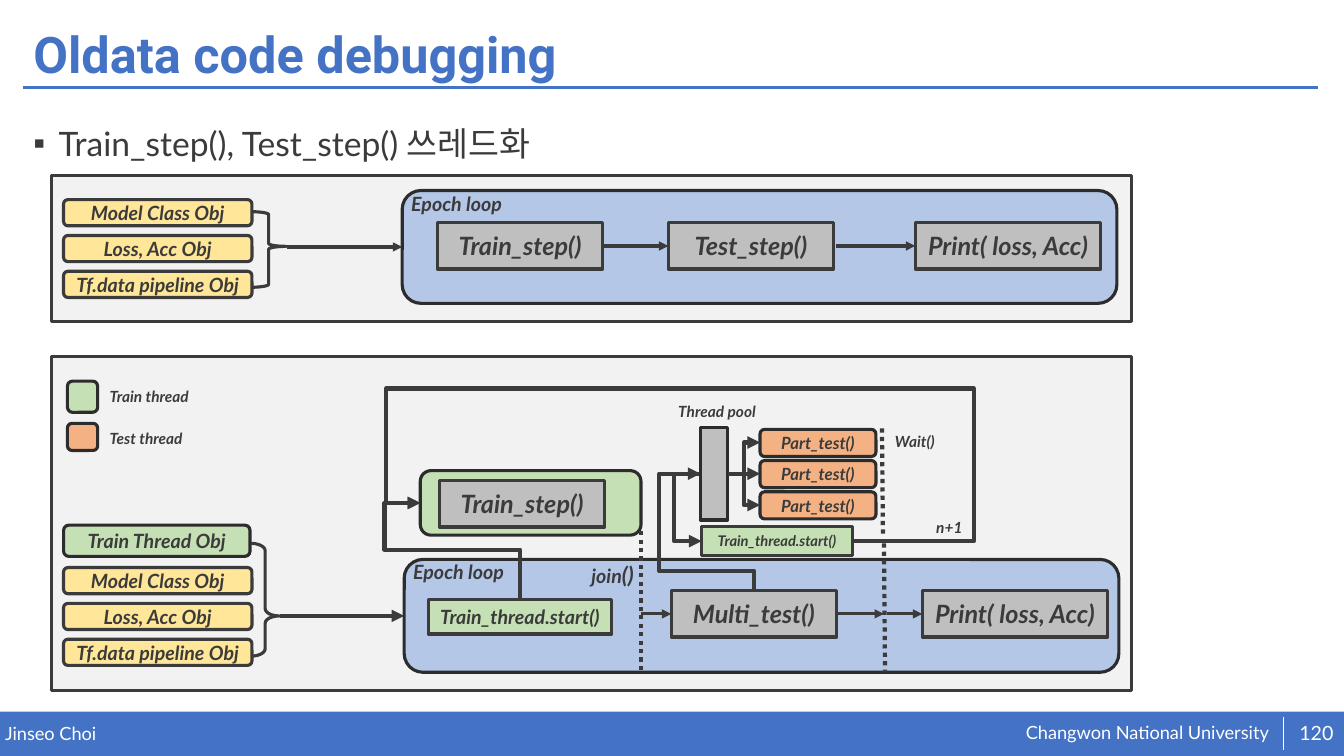
from lxml.etree import SubElement
from pptx import Presentation
from pptx.dml.color import RGBColor
from pptx.enum.dml import MSO_LINE
from pptx.enum.shapes import MSO_CONNECTOR as LINK, MSO_SHAPE as SHAPE
from pptx.enum.text import MSO_ANCHOR as ANCHOR, MSO_AUTO_SIZE as FIT, PP_ALIGN as ALIGN
from pptx.oxml.ns import qn
from pptx.util import Pt

BLUE, WHITE, INK, EDGE = "4472C4", "FFFFFF", "3B3B3B", "2C2C2C"
PANEL, LOOP, STEP = "F2F2F2", "B4C7E7", "BFBFBF"
OBJECT, TRAIN, TEST = "FFE699", "C5E0B4", "F4B183"
OBJECT_NAMES = ("Model Class Obj", "Loss, Acc Obj", "Tf.data pipeline Obj")


def rgb(value):
    return RGBColor.from_string(value)


def write(paragraph, text, size=14, color=INK, font="Lato", bold=True, italic=True):
    run = paragraph.add_run()
    run.text = text
    run.font.size, run.font.name = Pt(size), font
    run.font.bold, run.font.italic = bold, italic
    run.font.color.rgb = rgb(color)


def set_frame(frame, anchor=ANCHOR.TOP, inset=None):
    frame.word_wrap = True
    frame.auto_size = FIT.NONE
    frame.vertical_anchor = anchor
    if inset is not None:
        frame.margin_left = frame.margin_right = Pt(inset)
        frame.margin_top = frame.margin_bottom = Pt(inset)
    return frame.paragraphs[0]


def label(slide, text, x, y, w=200, h=21, align=ALIGN.LEFT, anchor=ANCHOR.TOP,
          inset=None, **text_format):
    box = slide.shapes.add_textbox(Pt(x), Pt(y), Pt(w), Pt(h))
    paragraph = set_frame(box.text_frame, anchor, inset)
    paragraph.alignment = align
    write(paragraph, text, **text_format)
    return paragraph


def block(slide, kind, x, y, w, h, fill=None, line=INK, text="", adjust=(), **text_format):
    shape = slide.shapes.add_shape(kind, Pt(x), Pt(y), Pt(w), Pt(h))
    shape.shadow.inherit = False
    for index, value in enumerate(adjust):
        shape.adjustments[index] = value
    if fill:
        shape.fill.solid()
        shape.fill.fore_color.rgb = rgb(fill)
    else:
        shape.fill.background()
    if line:
        shape.line.color.rgb = rgb(line)
        shape.line.width = Pt(2.25)
    else:
        shape.line.fill.background()
    if text:
        paragraph = set_frame(shape.text_frame, ANCHOR.MIDDLE)
        paragraph.alignment = ALIGN.CENTER
        write(paragraph, text, **text_format)


def link(slide, start, end, width=2.25, color=INK, arrow=True, dotted=False, kind=LINK.STRAIGHT):
    connector = slide.shapes.add_connector(kind, *(Pt(v) for v in (*start, *end)))
    connector.line.color.rgb = rgb(color)
    connector.line.width = Pt(width)
    if dotted:
        connector.line.dash_style = MSO_LINE.ROUND_DOT
    properties = connector._element.spPr
    if arrow:
        SubElement(properties.find(qn("a:ln")), qn("a:tailEnd"), type="triangle")
    SubElement(properties, qn("a:effectLst"))
    return connector


def elbow(slide, start, end, bends=(0.5,), upward=False):
    """Bent arrow; upward means that it leaves its start vertically."""
    if upward:
        # The unturned frame swaps width and height around the same centre
        cx, cy = (start[0] + end[0]) / 2, (start[1] + end[1]) / 2
        half_w, half_h = (start[1] - end[1]) / 2, (start[0] - end[0]) / 2
        start, end = (cx - half_w, cy + half_h), (cx + half_w, cy - half_h)
    connector = link(slide, start, end, 3, kind=LINK.ELBOW)
    properties = connector._element.spPr
    if upward:
        properties.find(qn("a:xfrm")).set("rot", str(270 * 60000))
    geometry = properties.find(qn("a:prstGeom"))
    geometry.set("prst", f"bentConnector{len(bends) + 2}")
    guides = geometry.find(qn("a:avLst"))
    if guides is None:
        guides = SubElement(geometry, qn("a:avLst"))
    for number, bend in enumerate(bends, 1):
        SubElement(guides, qn("a:gd"), name=f"adj{number}", fmla=f"val {round(bend * 100000)}")


def step(slide, text, x, y, w=118.1):
    block(slide, SHAPE.RECTANGLE, x, y, w, 33.1, STEP, text=text, size=18)


def object_list(slide, top):
    for row, name in enumerate(OBJECT_NAMES):
        block(slide, SHAPE.ROUNDED_RECTANGLE, 45.4, top + row * 25.6, 134.6, 18.7,
              OBJECT, text=name)


def epoch_loop(slide, x, y):
    block(slide, SHAPE.ROUNDED_RECTANGLE, x, y, 510.5, 80.6, LOOP, EDGE)
    label(slide, "Epoch loop", x - 0.7, y - 2.9, 142)


def place(placeholder, x, y, w, h):
    placeholder.left, placeholder.top = Pt(x), Pt(y)
    placeholder.width, placeholder.height = Pt(w), Pt(h)


def heading(slide):
    title, body = slide.shapes.title, slide.placeholders[1]
    place(title, 16.6, 13, 925.9, 55.4)
    paragraph = set_frame(title.text_frame, ANCHOR.MIDDLE)
    paragraph.alignment, paragraph.line_spacing = ALIGN.LEFT, 0.9
    write(paragraph, "Oldata code debugging", size=36, color=BLUE, font="Roboto", italic=False)
    place(body, 16.6, 72.7, 925.9, 405.4)
    paragraph = set_frame(body.text_frame)
    paragraph.line_spacing, paragraph.space_before = 1.4, Pt(0)
    bullet = paragraph._p.get_or_add_pPr()
    bullet.set("marL", str(Pt(18)))
    bullet.set("indent", str(-Pt(18)))
    SubElement(bullet, qn("a:buChar"), char="▪")
    write(paragraph, "Train_step(), Test_step() 쓰레드화", size=24, bold=False, italic=False)
    link(slide, (16.6, 62.6), (941.8, 62.6), 2, BLUE, arrow=False)


def footer(slide):
    plain = dict(color=WHITE, bold=False, italic=False, inset=0)
    block(slide, SHAPE.RECTANGLE, 0, 508.3, 960, 31.7, BLUE, line=None)
    label(slide, "Jinseo Choi", 3.6, 516.2, 471.6, 16, size=13, **plain)
    label(slide, " Changwon National University", 729.4, 515.5, 195.1, 16.6, size=13, **plain)
    link(slide, (916.6, 511.9), (916.6, 535.7), 0.5, WHITE, arrow=False)
    label(slide, "120", 923, 509, 34.6, 28.8, ALIGN.CENTER, ANCHOR.MIDDLE, size=14, **plain)


def sequential_flow(slide):
    block(slide, SHAPE.RECTANGLE, 36.7, 125.3, 771.8, 104.4, PANEL)
    epoch_loop(slide, 287.3, 136.1)
    object_list(slide, 142.6)
    block(slide, SHAPE.RIGHT_BRACE, 179.3, 151.2, 25.2, 54, adjust=(0.083, 0.459))
    step(slide, "Train_step()", 312.5, 159.1)
    step(slide, "Test_step()", 477.4, 159.1)
    step(slide, "Print( loss, Acc)", 653.8, 159.1, 132.5)
    link(slide, (205.2, 176.4), (287.3, 176.4))
    for left, right in ((430.6, 477.4), (596.9, 653.8)):
        link(slide, (left, 175.7), (right, 175.7))


def threaded_flow(slide):
    block(slide, SHAPE.RECTANGLE, 36.7, 254.9, 771.8, 238.3, PANEL)
    elbow(slide, (500.4, 338.4), (501.1, 386.6), (-26.4,))

    # Legend
    for text, color, y, h in (("Train thread", TRAIN, 272.2, 22.3),
                              ("Test thread", TEST, 302.4, 19.4)):
        block(slide, SHAPE.ROUNDED_RECTANGLE, 48.2, y, 21.6, h, color, EDGE)
        label(slide, text, 71.3, y + 0.4, size=11)

    # Objects feeding the loop
    block(slide, SHAPE.ROUNDED_RECTANGLE, 45.4, 375.1, 133.2, 22.3, TRAIN, EDGE,
          "Train Thread Obj")
    object_list(slide, 405.4)
    block(slide, SHAPE.RIGHT_BRACE, 179.3, 388.1, 20.2, 80.6, adjust=(0.258, 0.644))

    # Epoch loop
    epoch_loop(slide, 288.7, 399.6)
    link(slide, (200.2, 439.9), (288.7, 439.9), 3)
    step(slide, "Multi_test()", 479.5, 421.9)
    step(slide, "Print( loss, Acc)", 658.8, 421.9, 132.5)
    for left, right in ((457.9, 479.5), (597.6, 631.4), (633.6, 658.8)):
        link(slide, (left, 438.5), (right, 438.5))

    # Train thread
    block(slide, SHAPE.ROUNDED_RECTANGLE, 300.2, 336.2, 157.7, 46.1, TRAIN, EDGE)
    step(slide, "Train_step()", 313.9, 343.4)
    block(slide, SHAPE.RECTANGLE, 306, 428.4, 131, 24.5, TRAIN, text="Train_thread.start()")
    elbow(slide, (371.5, 428.4), (300.2, 359.3), (0.517, 1.358), upward=True)
    write(label(slide, "join", 415.4, 397.4, h=26.6), "()", size=16)

    # Thread pool and test threads
    elbow(slide, (538.6, 421.9), (500.4, 338.4), (0.17, 1.774), upward=True)
    block(slide, SHAPE.RECTANGLE, 500.4, 305.3, 19.4, 66.2, STEP, EDGE)
    label(slide, "Thread pool", 477.4, 283.7, size=11)
    for row in range(3):
        block(slide, SHAPE.ROUNDED_RECTANGLE, 542.9, 306.7 + row * 22.3, 82.8, 19.4,
              TEST, EDGE, "Part_test()", size=12)
    for y in (360.7, 316.1):
        elbow(slide, (519.8, 338.4), (542.9, y))
    link(slide, (519.8, 338.4), (542.9, 338.4), 3)

    # Next round of training
    block(slide, SHAPE.RECTANGLE, 501.1, 375.8, 108, 20.9, TRAIN,
          text="Train_thread.start()", size=10.5)
    elbow(slide, (609.1, 386.6), (300.2, 359.3), (-0.28, 3.993, 1.079))
    label(slide, "n+1", 661.7, 366.5, size=11)

    # Join and wait barriers
    for start, end in (((457.9, 379.4), (457.9, 479.5)), ((630, 306), (630.7, 382.3)),
                       ((631.4, 388.1), (632.2, 480.2))):
        link(slide, start, end, 3, arrow=False, dotted=True)
    label(slide, "Wait()", 632.2, 305.3, size=11)


def main():
    deck = Presentation()
    deck.slide_width, deck.slide_height = Pt(960), Pt(540)
    slide = deck.slides.add_slide(deck.slide_layouts[1])
    heading(slide)
    footer(slide)
    sequential_flow(slide)
    threaded_flow(slide)
    deck.save("out.pptx")


if __name__ == "__main__":
    main()
